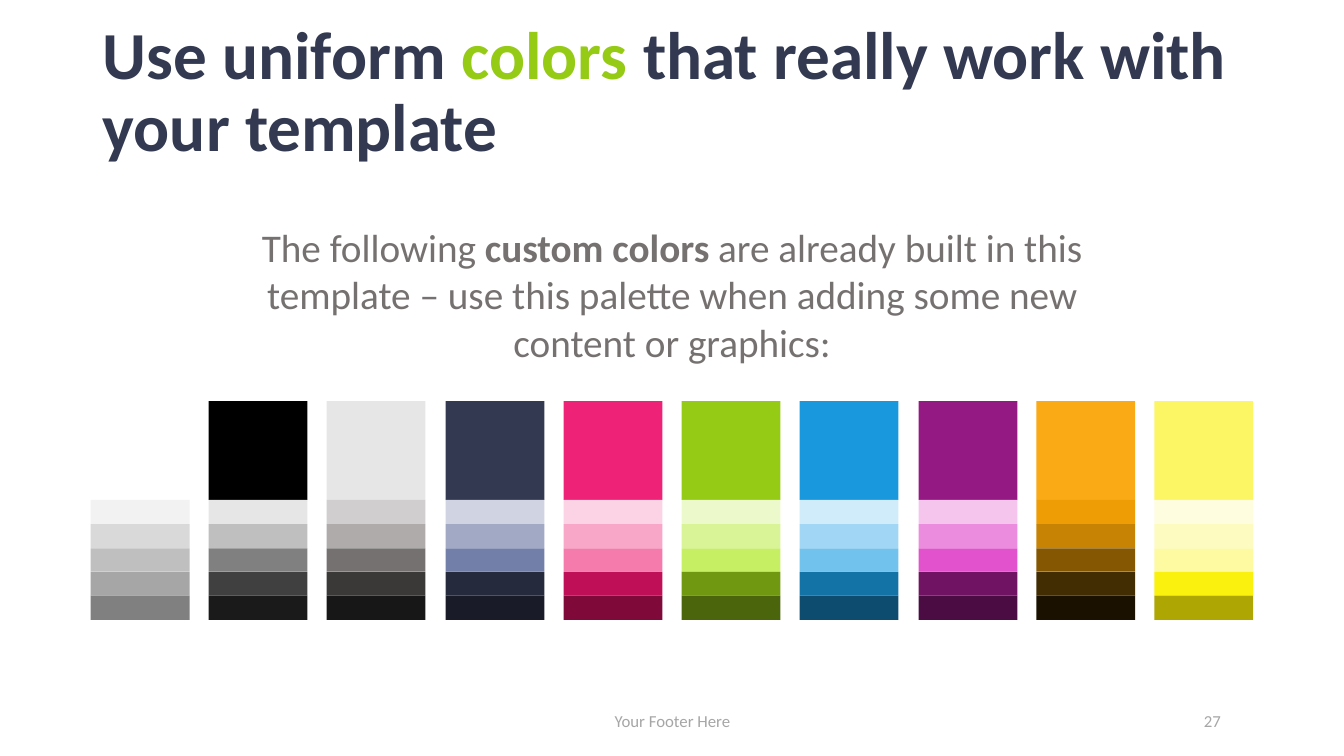
"""Build a slide that presents the template's colour palette."""
from pptx import Presentation
from pptx.dml.color import RGBColor
from pptx.enum.shapes import MSO_SHAPE as Shape
from pptx.enum.text import MSO_ANCHOR as Anchor, MSO_AUTO_SIZE as AutoSize, PP_ALIGN as Align
from pptx.util import Emu, Pt

EMU_PER_PX = 9144
FONT = "Calibri"
NAVY, GREEN, BODY_GRAY, FOOTER_GRAY = "323951", "95CA15", "767171", "A6A6A6"

PALETTE = [
    ("FFFFFF", ["F2F2F2", "D9D9D9", "BFBFBF", "A6A6A6", "808080"]),
    ("000000", ["E6E6E6", "BFBFBF", "808080", "404040", "1A1A1A"]),
    ("E7E6E6", ["D0CECE", "AFABAB", "767171", "3B3838", "181717"]),
    (NAVY, ["D0D4E2", "A1A9C5", "727FA8", "252B3D", "191C28"]),
    ("EE2377", ["FCD3E4", "F8A7C9", "F57BAD", "BE0F57", "7F0A3A"]),
    (GREEN, ["ECFACB", "D9F497", "C6EF63", "709810", "4A650B"]),
    ("1A98DD", ["D0EBF9", "A1D7F4", "72C2EE", "1372A6", "0D4C6E"]),
    ("951983", ["F5C5EE", "EC8CDE", "E252CD", "701362", "4A0C42"]),
    ("FAAA15", ["EF9D05", "C78304", "855703", "422C01", "1B1101"]),
    ("FCF664", ["FEFDE0", "FEFBC1", "FDFAA2", "FAF10E", "ADA603"]),
]
PALETTE_LEFT, PALETTE_TOP, LAST_COLUMN_LEFT = 90, 398, 1145
SWATCH_SIZE, TINTS_HEIGHT = 98, 119


def px(length):
    """Convert whole pixels to EMU."""
    return Emu(length * EMU_PER_PX)


def rgb(hex_color):
    """Turn a hex string into a colour."""
    return RGBColor.from_string(hex_color)


def write_text(frame, runs, size, color, align, anchor):
    """Fill a frame with one paragraph of (text, run formatting) pairs."""
    frame.word_wrap = True
    frame.auto_size = AutoSize.NONE
    frame.vertical_anchor = anchor
    paragraph = frame.paragraphs[0]
    paragraph.alignment = align
    paragraph.font.name = FONT
    paragraph.font.size = Pt(size)
    paragraph.font.color.rgb = rgb(color)
    for text, formatting in runs:
        run = paragraph.add_run()
        run.text = text
        if "bold" in formatting:
            run.font.bold = formatting["bold"]
        if "color" in formatting:
            run.font.color.rgb = rgb(formatting["color"])
    return paragraph


def add_title(slide, runs):
    """Place and format the title placeholder."""
    title = slide.shapes.title
    title.left, title.top, title.width, title.height = map(px, (92, 31, 1150, 124))
    heading = write_text(title.text_frame, runs, 48, NAVY, Align.LEFT, Anchor.MIDDLE)
    heading.line_spacing = 0.9
    heading.font.bold = True


def add_label(slide, box, runs, size, color, anchor=Anchor.MIDDLE):
    """Add a centred text box."""
    label = slide.shapes.add_textbox(*map(px, box))
    write_text(label.text_frame, runs, size, color, Align.CENTER, anchor)


def add_swatch(column, left, top, height, color):
    """Add one borderless colour block to a palette column."""
    box = map(px, (left, top, SWATCH_SIZE, height))
    swatch = column.shapes.add_shape(Shape.RECTANGLE, *box)
    swatch.shadow.inherit = False
    swatch.fill.solid()
    swatch.fill.fore_color.rgb = rgb(color)
    swatch.line.fill.background()


def add_palette(slide):
    """Add a grouped column of base colour and tints for each palette entry."""
    pitch = (LAST_COLUMN_LEFT - PALETTE_LEFT) / (len(PALETTE) - 1)
    tints_top = PALETTE_TOP + SWATCH_SIZE
    for index, (base, tints) in enumerate(PALETTE):
        left = round(PALETTE_LEFT + index * pitch)
        column = slide.shapes.add_group_shape()
        add_swatch(column, left, PALETTE_TOP, SWATCH_SIZE, base)
        edges = [tints_top + round(row * TINTS_HEIGHT / len(tints))
                 for row in range(len(tints) + 1)]
        for top, bottom, tint in zip(edges, edges[1:], tints):
            add_swatch(column, left, top, bottom - top, tint)


def main():
    """Build and save the slide."""
    deck = Presentation()
    deck.slide_width, deck.slide_height = px(1333), px(750)
    slide = deck.slides.add_slide(deck.slide_layouts[5])
    add_title(slide, [
        ("Use uniform ", {}),
        ("colors", {"color": GREEN}),
        (" that really work with your template", {}),
    ])
    add_label(slide, (442, 695, 450, 40), [("Your Footer Here", {})], 12, FOOTER_GRAY)
    add_label(slide, (1163, 695, 79, 40), [("27", {})], 12, FOOTER_GRAY)
    add_label(slide, (207, 217, 919, 151), [
        ("The following ", {}),
        ("custom colors ", {"bold": True}),
        ("are already built in this template – use this palette when adding "
         "some new content or graphics:", {}),
    ], 28, BODY_GRAY, Anchor.TOP)
    add_palette(slide)
    deck.save("out.pptx")


if __name__ == "__main__":
    main()
